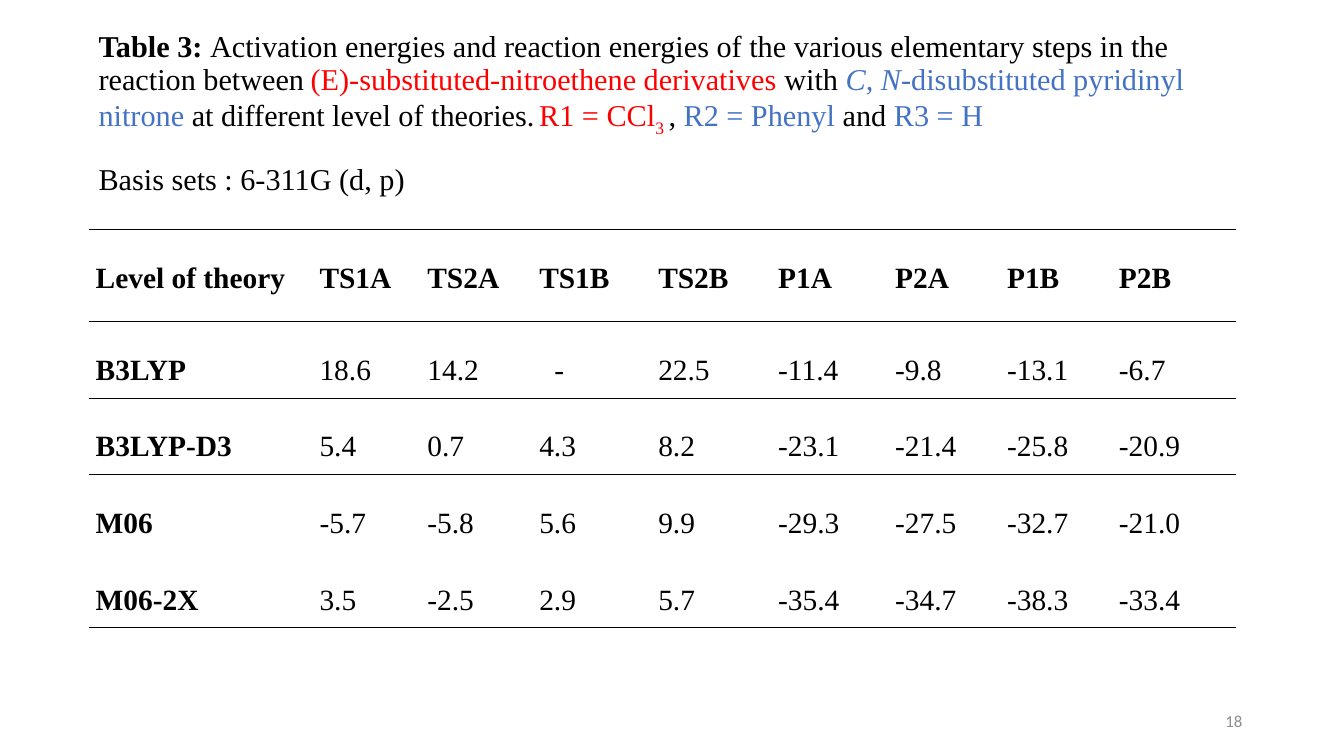
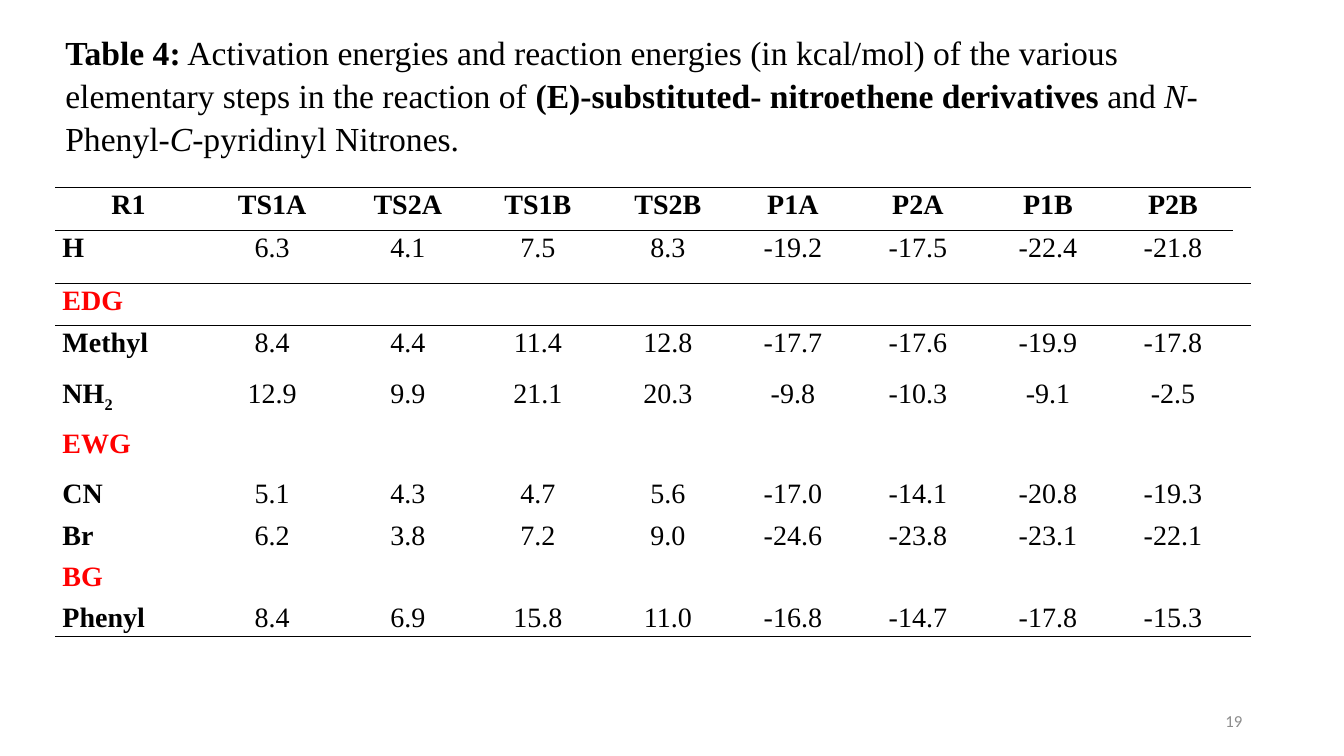
import pptx
import pptx.dml.color
import pptx.enum.text
import pptx.oxml
import pptx.oxml.ns
import pptx.util

Inches = pptx.util.Inches
Pt = pptx.util.Pt
ALIGN = pptx.enum.text.PP_ALIGN
NO_STYLE = "{2D5ABB26-0587-4C30-8999-92F81FD0307C}"
BLACK, RED, BLUE, GRAY = "000000", "FF0000", "4472C4", "8C8C8C"


def rgb(value):
    return pptx.dml.color.RGBColor.from_string(value)


def add_text(p, text, size=20, font="Times New Roman", color=BLACK,
             bold=False, italic=False, sub=False):
    r = p.add_run()
    r.text = text
    r.font.size = Pt(size)
    r.font.name = font
    r.font.color.rgb = rgb(color)
    r.font.bold = bold
    r.font.italic = italic
    if sub:
        r.font._element.set("baseline", "-25000")
    return r


def add_border(cell, side):
    tcPr = cell._tc.get_or_add_tcPr()
    ln = pptx.oxml.parse_xml(
        f'<a:{side} {pptx.oxml.ns.nsdecls("a")} w="12700"><a:solidFill>'
        f'<a:srgbClr val="{BLACK}"/></a:solidFill></a:{side}>')
    tcPr.insert(len(tcPr.findall(pptx.oxml.ns.qn("a:lnT"))), ln)


class Deck:
    def __init__(self):
        self.prs = pptx.Presentation()
        self.prs.slide_width = Inches(13.33)
        self.prs.slide_height = Inches(7.5)
        self.s = None

    def new_slide(self, number):
        self.s = self.prs.slides.add_slide(self.prs.slide_layouts[6])
        p = self.text_frame(9.42, 6.95, 3, 0.4).paragraphs[0]
        p.alignment = ALIGN.RIGHT
        add_text(p, str(number), size=12, font="Calibri", color=GRAY)

    def text_frame(self, x, y, w, h):
        sp = self.s.shapes.add_textbox(Inches(x), Inches(y), Inches(w), Inches(h))
        tf = sp.text_frame
        tf.word_wrap = True
        tf.vertical_anchor = pptx.enum.text.MSO_ANCHOR.MIDDLE
        return tf

    def title(self, box, paragraphs, size, spacing, before=0, after=0):
        tf = self.text_frame(*box)
        for i, runs in enumerate(paragraphs):
            p = tf.add_paragraph() if i else tf.paragraphs[0]
            p.line_spacing = spacing
            p.space_before = Pt(before if i else 0)
            p.space_after = Pt(after)
            for text, fmt in runs:
                add_text(p, text, **{"size": size, **fmt})

    def table(self, x, y, widths, heights, rows, rules, size, spacing,
              align, label_align):
        frame = self.s.shapes.add_table(
            len(heights), len(widths), Inches(x), Inches(y),
            Inches(sum(widths)), Inches(sum(heights)))
        table = frame.table
        table.first_row = table.horz_banding = False
        table._tbl.tblPr.find(pptx.oxml.ns.qn("a:tableStyleId")).text = NO_STYLE
        for col, width in zip(table.columns, widths):
            col.width = Inches(width)
        for row, height in zip(table.rows, heights):
            row.height = Inches(height)
        for cell in table.iter_cells():
            cell.fill.background()
            cell.margin_left = cell.margin_right = Inches(0.07)
            cell.margin_top = cell.margin_bottom = 0
        for i, values in enumerate(rows):
            group = len(values) == 1
            for j, value in enumerate(values):
                cell = table.cell(i, j)
                p = cell.text_frame.paragraphs[0]
                p.line_spacing = spacing
                p.alignment = label_align if i and not j else align
                if value == "-":
                    cell.margin_left = Inches(0.22)
                base, digit = ("NH", "2") if value == "NH2" else (value, "")
                fmt = {"size": size, "bold": i == 0 or j == 0,
                       "color": RED if group else BLACK}
                add_text(p, base, **fmt)
                if digit:
                    add_text(p, digit, sub=True, **fmt)
            if group:
                table.cell(i, 0).merge(table.cell(i, len(widths) - 1))
        for line, count in rules.items():
            for j in range(count):
                if line < len(heights):
                    add_border(table.cell(line, j), "lnT")
                if line:
                    add_border(table.cell(line - 1, j), "lnB")


def main():
    deck = Deck()
    bold, italic = {"bold": True}, {"italic": True}
    red, blue = {"color": RED}, {"color": BLUE}
    steps = "TS1A TS2A TS1B TS2B P1A P2A P1B P2B".split()

    deck.new_slide(18)
    deck.title((0.88, 0.4, 11.53, 1.47), [
        [("Table 3: ", bold),
         ("Activation energies and reaction energies of the various elementary "
          "steps in the reaction between", {}),
         (" ", {"size": 18}),
         ("(E)-substituted-nitroethene derivatives", red),
         (" with ", {}),
         ("C, N", {**blue, **italic}),
         ("-disubstituted pyridinyl nitrone ", blue),
         ("at different level of theories.", {}),
         (" ", {"size": 12.6}),
         ("R1 = CCl", red),
         ("3 ", {**red, "sub": True}),
         (", ", {}),
         ("R2 = Phenyl ", blue),
         ("and ", {}),
         ("R3 = H", blue)],
        [("Basis sets : 6-311G (d, p)", {})],
    ], size=21.6, spacing=0.9, before=22)
    deck.table(
        0.88, 2.28,
        [2.22, 1.07, 1.11, 1.18, 1.19, 1.16, 1.11, 1.11, 1.23],
        [0.91] + [0.76] * 4,
        [["Level of theory", *steps],
         "B3LYP 18.6 14.2 - 22.5 -11.4 -9.8 -13.1 -6.7".split(),
         "B3LYP-D3 5.4 0.7 4.3 8.2 -23.1 -21.4 -25.8 -20.9".split(),
         "M06 -5.7 -5.8 5.6 9.9 -29.3 -27.5 -32.7 -21.0".split(),
         "M06-2X 3.5 -2.5 2.9 5.7 -35.4 -34.7 -38.3 -33.4".split()],
        rules={0: 9, 1: 9, 2: 9, 5: 9}, size=21, spacing=2,
        align=ALIGN.JUSTIFY, label_align=ALIGN.JUSTIFY)

    deck.new_slide(19)
    deck.title((0.55, 0.33, 11.87, 1.2), [
        [("Table 4:", bold),
         (" Activation energies and reaction energies (in kcal/mol) of the "
          "various elementary steps in the reaction of ", {}),
         ("(E)-substituted- nitroethene derivatives ", bold),
         ("and ", {}),
         ("N", italic),
         ("-Phenyl-", {}),
         ("C", italic),
         ("-pyridinyl Nitrones.", {})],
    ], size=24, spacing=1.07, after=8)
    deck.table(
        0.55, 1.86,
        [1.45, 1.4, 1.29, 1.29, 1.29, 1.19, 1.29, 1.29, 1.19, 0.17],
        [0.43, 0.52, 0.42, 0.5, 0.5, 0.5, 0.41, 0.41, 0.41, 0.33],
        [["R1", *steps],
         "H 6.3 4.1 7.5 8.3 -19.2 -17.5 -22.4 -21.8".split(),
         ["EDG"],
         "Methyl 8.4 4.4 11.4 12.8 -17.7 -17.6 -19.9 -17.8".split(),
         "NH2 12.9 9.9 21.1 20.3 -9.8 -10.3 -9.1 -2.5".split(),
         ["EWG"],
         "CN 5.1 4.3 4.7 5.6 -17.0 -14.1 -20.8 -19.3".split(),
         "Br 6.2 3.8 7.2 9.0 -24.6 -23.8 -23.1 -22.1".split(),
         ["BG"],
         "Phenyl 8.4 6.9 15.8 11.0 -16.8 -14.7 -17.8 -15.3".split()],
        rules={0: 10, 1: 9, 2: 10, 10: 10}, size=20, spacing=1.07,
        align=ALIGN.CENTER, label_align=ALIGN.LEFT)

    deck.prs.save("out.pptx")


if __name__ == "__main__":
    main()
